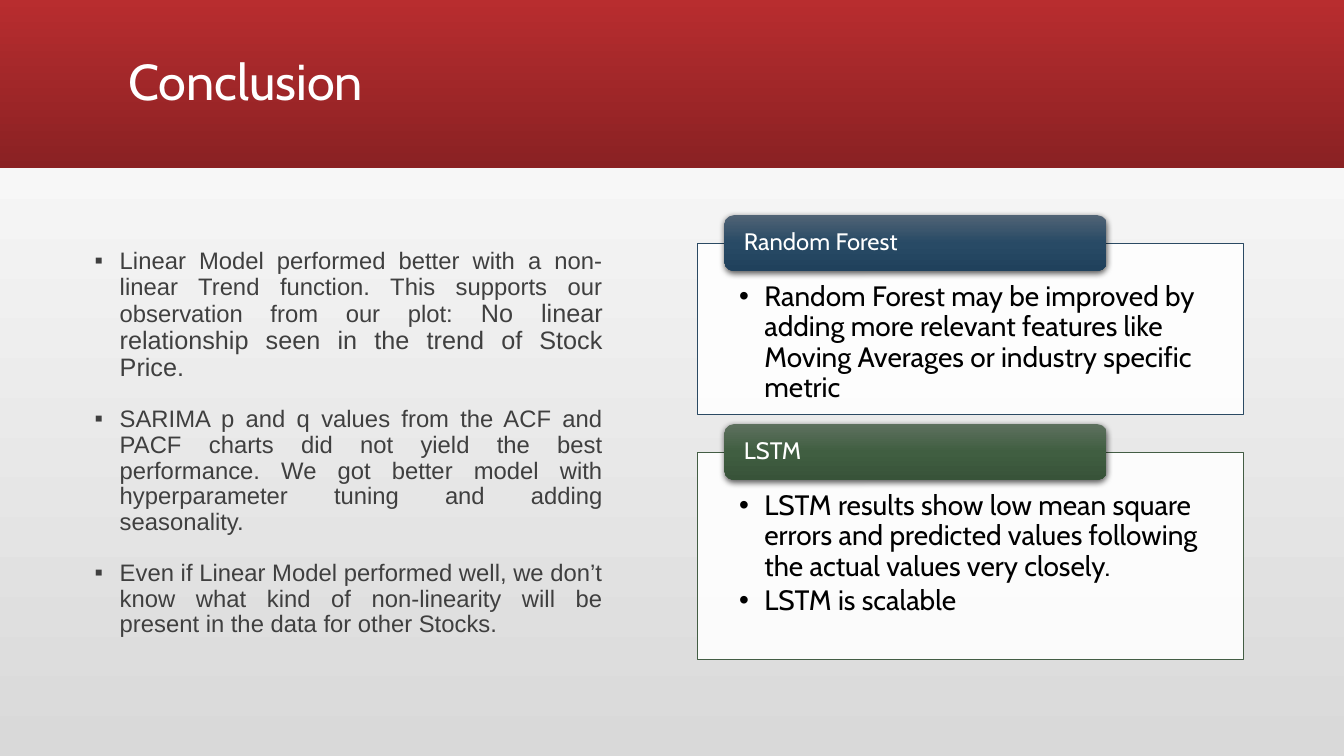
from copy import deepcopy

from lxml import etree
from pptx import Presentation
from pptx.dml.color import RGBColor
from pptx.enum.shapes import MSO_SHAPE
from pptx.enum.text import MSO_ANCHOR, PP_ALIGN
from pptx.oxml.ns import qn
from pptx.util import Emu, Pt

RECT = MSO_SHAPE.RECTANGLE
ROUND = MSO_SHAPE.ROUNDED_RECTANGLE
TOP = MSO_ANCHOR.TOP
MIDDLE = MSO_ANCHOR.MIDDLE
LEFT = PP_ALIGN.LEFT
JUSTIFY = PP_ALIGN.JUSTIFY

POINTS = [
    [("Linear Model performed better with a non-linear Trend function. "
      "This supports our observation from our plot: ", 17),
     ("No linear relationship seen in the trend of Stock Price.", 18)],
    [("SARIMA p and q values from the ACF and PACF charts did not yield the "
      "best performance. We got better model with hyperparameter tuning and "
      "adding seasonality.", 17)],
    [("Even if Linear Model performed well, we don’t know what kind of "
      "non-linearity will be present in the data for other Stocks.", 17)],
]
CARDS = [
    ("Random Forest", 232, 163, "2B4A63", ["506375", "284A65", "20415C"],
     ["Random Forest may be improved by adding more relevant features like "
      "Moving Averages or industry specific metric"]),
    ("LSTM", 431, 197, "435D44", ["5D705E", "405E41", "385339"],
     ["LSTM results show low mean square errors and predicted values "
      "following the actual values very closely.",
      "LSTM is scalable"]),
]


def px(n):
    return Emu(n * 9525)


def color(code):
    return RGBColor.from_string(code)


def add(parent, tag, **attrs):
    return etree.SubElement(parent, qn(tag), attrs)


def shade(owner, fill, codes):
    fill.gradient()
    fill.gradient_angle = 270
    stops = owner.element.find(".//" + qn("a:gsLst"))
    while len(stops) < len(codes):
        stops.append(deepcopy(stops[0]))
    for i, (stop, code) in enumerate(zip(fill.gradient_stops, codes)):
        stop.color.rgb = color(code)
        stop.position = i / (len(codes) - 1)


def place(shape, x, y, w, h):
    shape.left, shape.top, shape.width, shape.height = map(px, (x, y, w, h))


def block(slide, kind, x, y, w, h):
    shape = slide.shapes.add_shape(kind, *map(px, (x, y, w, h)))
    shape.shadow.inherit = False
    shape.line.fill.background()
    return shape


def frame(shape, anchor, left, top, right, bottom):
    text = shape.text_frame
    text.word_wrap = True
    text.vertical_anchor = anchor
    text.margin_left, text.margin_top = px(left), px(top)
    text.margin_right, text.margin_bottom = px(right), px(bottom)
    return text


def style(para, face, code, size=None, align=LEFT):
    para.alignment = align
    para.line_spacing = 0.9
    para.font.name = face
    para.font.color.rgb = color(code)
    if size:
        para.font.size = Pt(size)


def bullet(para, char, code):
    props = para._p.get_or_add_pPr()
    props.set("marL", str(px(24)))
    props.set("indent", str(px(-24)))
    add(add(props, "a:buClr"), "a:srgbClr", val=code)
    add(props, "a:buFont", typeface="Arial")
    add(props, "a:buChar", char=char)


def lines(text, count, gap):
    for i in range(count):
        para = text.add_paragraph() if i else text.paragraphs[0]
        para.space_before = Pt(gap if i else 0)
        yield para


def header(slide, x, y, w, h):
    band = block(slide, RECT, x, y, w, h)
    shade(band, band.fill, ["B82D2F", "8A2123"])
    title = slide.shapes.title
    slide.shapes._spTree.append(title.element)
    place(title, x + 112, y + 11, w - 224, h - 21)
    text = frame(title, MIDDLE, 10, 5, 10, 5)
    text.text = "Conclusion"
    style(text.paragraphs[0], "Cabin", "FFFFFF", 36)


def notes(slide, x, y, w, h):
    box = slide.shapes.add_textbox(*map(px, (x, y, w, h)))
    text = frame(box, TOP, 10, 5, 10, 5)
    for para, parts in zip(lines(text, len(POINTS), 18), POINTS):
        bullet(para, "▪", "3F3F3F")
        style(para, "Arial", "3F3F3F", align=JUSTIFY)
        for words, size in parts:
            run = para.add_run()
            run.text = words
            run.font.size = Pt(size)


def card(slide, x, y, w, h, name, edge, tones, items):
    panel = block(slide, RECT, x, y, w, h)
    panel.fill.solid()
    panel.fill.fore_color.rgb = color("FFFFFF")
    tint = panel.element.find(".//" + qn("a:srgbClr"))
    add(tint, "a:alpha", val="90000")
    panel.line.color.rgb = color(edge)
    panel.line.width = Pt(0.75)
    text = frame(panel, TOP, 40, 37, 40, 15)
    for para, words in zip(lines(text, len(items), 3), items):
        para.text = words
        bullet(para, "•", "000000")
        style(para, "Cabin", "000000", 20)

    tab = block(slide, ROUND, x + 26, y - 27, w * 7 // 10, 53)
    tab.adjustments[0] = 0.167
    shade(tab, tab.fill, tones)
    glow = add(tab.element.find(".//" + qn("a:effectLst")), "a:outerShdw",
               blurRad=str(Pt(4.5)), dist=str(Pt(1.5)), dir="5400000",
               algn="ctr", rotWithShape="0")
    add(add(glow, "a:srgbClr", val="000000"), "a:alpha", val="63000")
    label = frame(tab, MIDDLE, 16, 0, 16, 0)
    label.text = name
    style(label.paragraphs[0], "Cabin", "FFFFFF", 17)


def main():
    deck = Presentation()
    deck.slide_width, deck.slide_height = px(1280), px(720)
    slide = deck.slides.add_slide(deck.slide_layouts[5])
    shade(slide, slide.background.fill, ["FFFFFF", "D9D9D9"])
    header(slide, 0, 0, 1280, 160)
    notes(slide, 80, 232, 504, 400)
    for name, y, h, edge, tones, items in CARDS:
        card(slide, 664, y, 520, h, name, edge, tones, items)
    deck.save("out.pptx")


if __name__ == "__main__":
    main()
